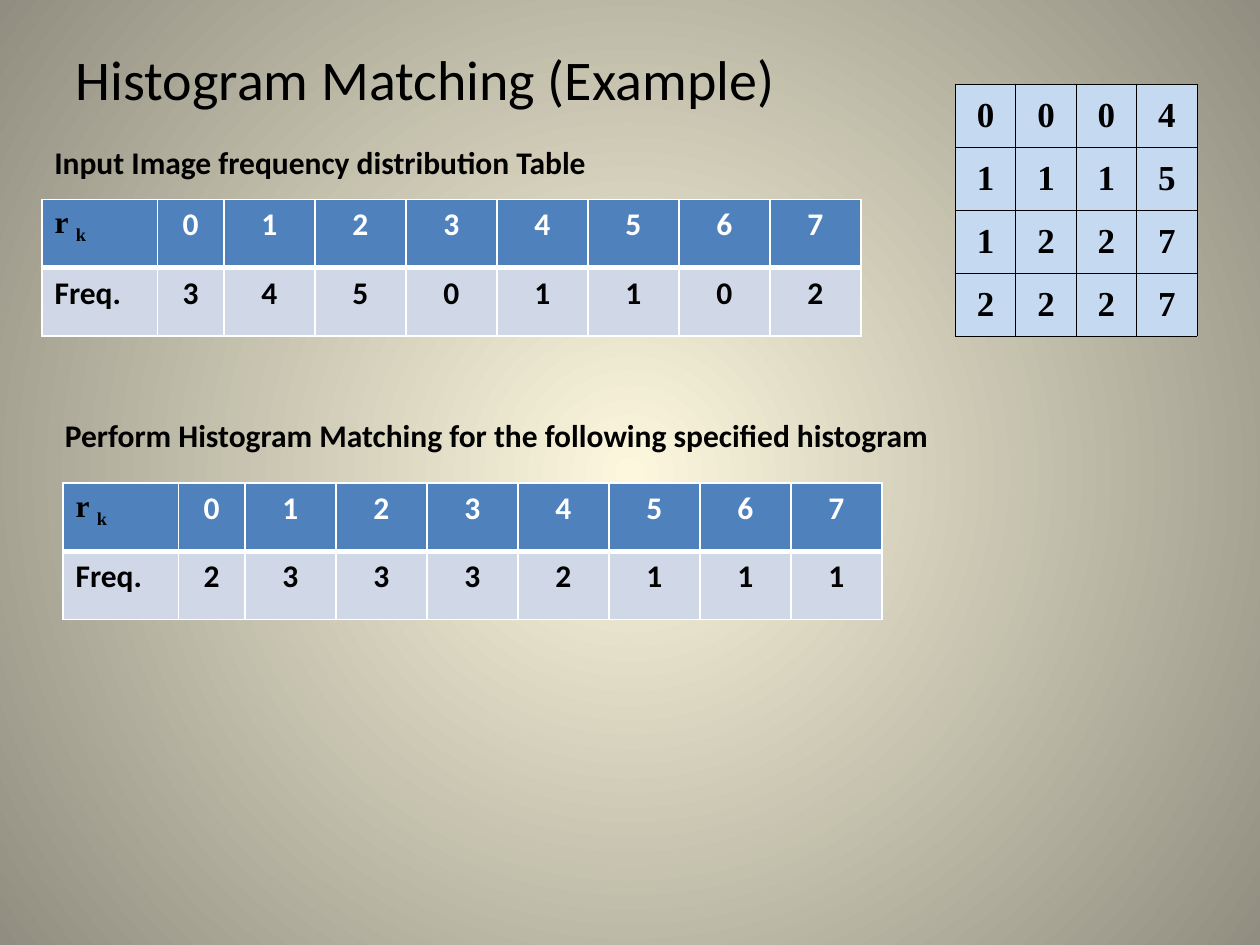
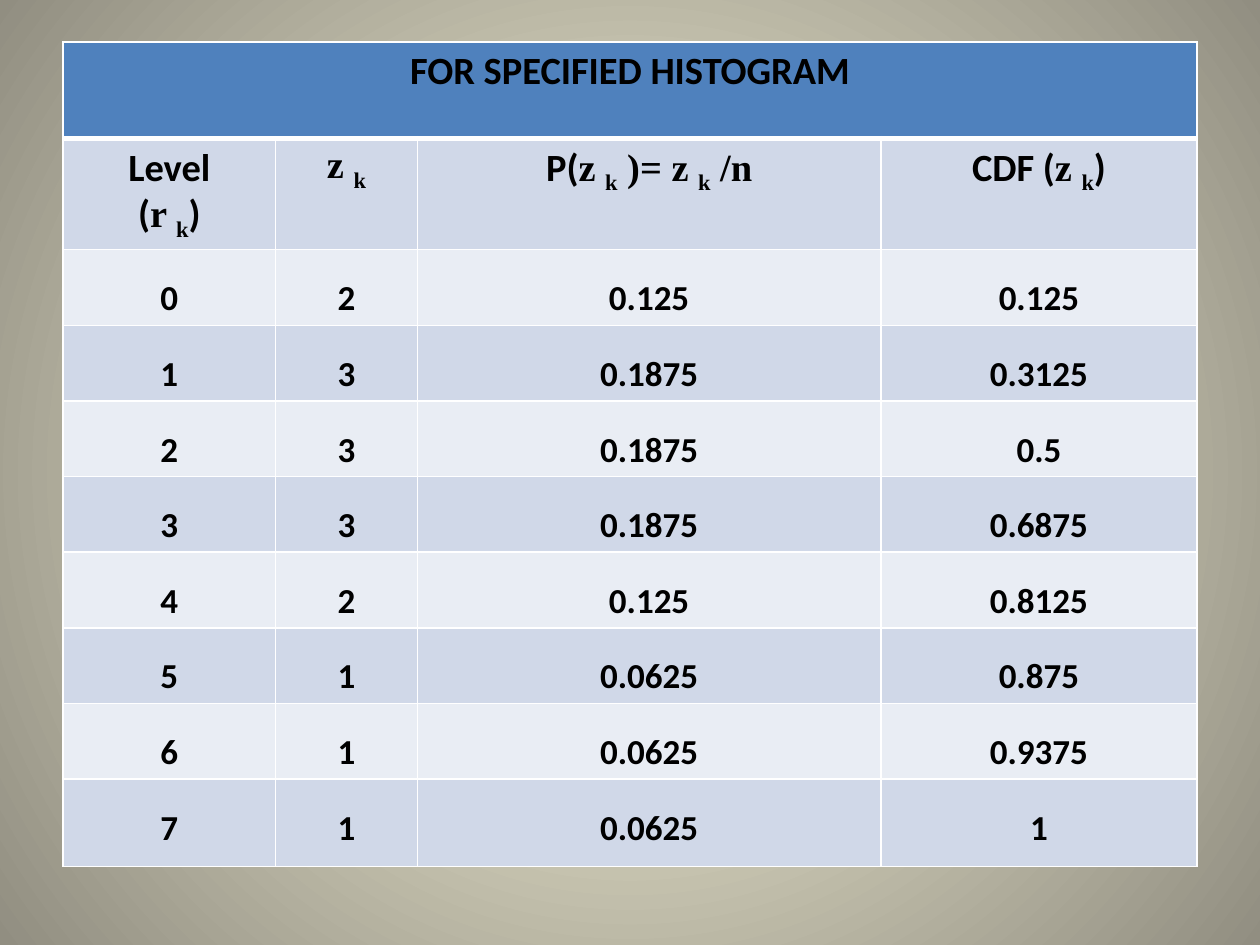
from dataclasses import dataclass
from itertools import accumulate

from lxml.etree import SubElement
from pptx import Presentation
from pptx.dml.color import RGBColor as RGB
from pptx.enum.text import MSO_ANCHOR as ANCHOR, MSO_AUTO_SIZE as FIT, PP_ALIGN as ALIGN
from pptx.oxml.ns import qn
from pptx.util import Pt


@dataclass(frozen=True)
class Theme:
    sans: str = "Calibri"
    serif: str = "Times New Roman"
    ink: str = "000000"
    white: str = "FFFFFF"
    glow: str = "FCF7DD"
    edge: str = "918E81"
    head: str = "4F81BD"
    dark: str = "D0D8E8"
    pale: str = "E9EDF4"
    pixel: str = "C5D9F1"
    title: float = 32
    large: float = 22
    medium: float = 20
    small: float = 18


THEME = Theme()
INPUT = [3, 4, 5, 0, 1, 1, 0, 2]
TARGET = [2, 3, 3, 3, 2, 1, 1, 1]
PIXELS = ["0004", "1115", "1227", "2227"]


def write(frame, text, size=THEME.small, color=THEME.ink, font=THEME.sans,
          bold=True, align=ALIGN.LEFT, spacing=None):
    """Split text into runs at "|"; a run led by "~" is serif, by "_" a serif subscript."""
    for i, line in enumerate(text.split("\n")):
        para = frame.add_paragraph() if i else frame.paragraphs[0]
        para.alignment = align
        para.space_before = Pt(0)
        if spacing:
            para.line_spacing = spacing
        for part in line.split("|"):
            mark = part[:1] if part[:1] in ("~", "_") else ""
            run = para.add_run()
            run.text = part[len(mark):]
            run.font.name = THEME.serif if mark else font
            run.font.size = Pt(size)
            run.font.bold = bold
            run.font.color.rgb = RGB.from_string(color)
            if mark == "_":
                run._r.get_or_add_rPr().set("baseline", "-25000")


def border(cell, color, widths):
    """Draw the left, right, top and bottom lines; call before filling the cell."""
    props = cell._tc.get_or_add_tcPr()
    for side, width in zip("LRTB", widths):
        line = SubElement(props, qn(f"a:ln{side}"), w=str(Pt(width)))
        fill = SubElement(line, qn("a:solidFill"))
        SubElement(fill, qn("a:srgbClr"), val=color)


class Deck:
    def __init__(self, theme):
        self.theme = theme
        self.prs = Presentation()
        self.prs.slide_width, self.prs.slide_height = Pt(720), Pt(540)
        self.slide = None
        self.paint()

    def paint(self):
        """Give the master a round gradient that every slide inherits."""
        master = self.prs.slide_master
        fill = master.background.fill
        fill.gradient()
        for stop, color, place in zip(fill.gradient_stops,
                                      (self.theme.glow, self.theme.edge), (0, 1)):
            stop.color.rgb = RGB.from_string(color)
            stop.position = place
        grad = master.element.find(".//" + qn("a:gradFill"))
        grad.remove(grad.find(qn("a:lin")))
        shade = SubElement(grad, qn("a:path"), path="circle")
        SubElement(shade, qn("a:fillToRect"), dict.fromkeys("ltrb", "50000"))

    def add(self, title=None):
        layout = self.prs.slide_layouts[5 if title else 6]
        self.slide = self.prs.slides.add_slide(layout)
        if title:
            shape = self.slide.shapes.title
            shape.left, shape.top, shape.width, shape.height = map(Pt, (36, 21.6, 648, 50))
            shape.text_frame.vertical_anchor = ANCHOR.TOP
            write(shape.text_frame, title, size=self.theme.title, bold=False)

    def label(self, text, x, y, w):
        frame = self.slide.shapes.add_textbox(Pt(x), Pt(y), Pt(w), Pt(29)).text_frame
        frame.word_wrap = True
        frame.auto_size = FIT.SHAPE_TO_FIT_TEXT
        write(frame, text)

    def grid(self, rows, x, y, wide, high, fills, look,
             line=THEME.white, thin=1, rule=1, tight=False):
        """Add a table; look(row, column) gives the text format, rule the line under row 0."""
        table = self.slide.shapes.add_table(
            len(rows), len(wide), Pt(x), Pt(y), Pt(sum(wide)), Pt(sum(high))).table
        table.horz_banding = table.first_row = False
        for column, width in zip(table.columns, wide):
            column.width = Pt(width)
        for r, values in enumerate(rows):
            table.rows[r].height = Pt(high[r])
            top, low = (rule if edge == 1 else thin for edge in (r, r + 1))
            for c in range(len(wide)):
                cell = table.cell(r, c)
                border(cell, line, (thin, thin, top, low))
                cell.fill.solid()
                cell.fill.fore_color.rgb = RGB.from_string(fills[r])
                if tight:
                    cell.margin_left = cell.margin_right = cell.margin_top = Pt(0.72)
                    cell.margin_bottom = Pt(0)
                    cell.vertical_anchor = ANCHOR.MIDDLE
                if c < len(values):
                    write(cell.text_frame, str(values[c]), **look(r, c))
            if len(values) == 1:
                table.cell(r, 0).merge(table.cell(r, len(wide) - 1))

    def counts(self, values, x, y):
        """Add a two-row table of gray levels and their frequencies."""
        def look(r, c):
            return {"align": ALIGN.CENTER if c else ALIGN.LEFT,
                    "color": self.theme.white if c and not r else self.theme.ink}

        rows = [["~r |_k", *range(len(values))], ["Freq.", *values]]
        self.grid(rows, x, y, [66, 38] + [52] * 7, [39, 39],
                  [self.theme.head, self.theme.dark], look, rule=3)

    def image(self, x, y):
        """Add the matrix of pixel values."""
        style = {"size": self.theme.medium, "font": self.theme.serif, "align": ALIGN.CENTER}
        self.grid(PIXELS, x, y, [34.5] * 4, [36] * 4, [self.theme.pixel] * 4,
                  lambda r, c: style, line=self.theme.ink, thin=0.5, rule=0.5, tight=True)

    def cdf(self, values, x, y):
        """Add the table of probabilities and their running sum."""
        total = sum(values)
        rows = [["FOR SPECIFIED HISTOGRAM"],
                ["Level\n(|~r |_k|)", "~z |_k", "P(|~z |_k|~ )= z |_k|~ /n", "CDF (|~z |_k|)"]]
        for level, (count, run) in enumerate(zip(values, accumulate(values))):
            rows.append([level, count, f"{count / total:g}", f"{run / total:g}"])
        head = {"size": self.theme.large, "align": ALIGN.CENTER}
        body = {"size": self.theme.medium, "align": ALIGN.CENTER, "spacing": 1.5}
        self.grid(rows, x, y, [121.5, 81, 265, 180.5], [55, 59] + [43] * 7 + [50],
                  [self.theme.head, self.theme.dark] + [self.theme.pale, self.theme.dark] * 4,
                  lambda r, c: head if r < 2 else body, rule=3)


def main():
    deck = Deck(THEME)

    deck.add("Histogram Matching (Example)")
    deck.counts(INPUT, 24, 114)
    deck.image(546, 48)
    deck.label("Input Image frequency distribution Table", 24, 78, 366)
    deck.label("Perform Histogram Matching for the following specified histogram", 30, 234, 558)
    deck.counts(TARGET, 36, 276)

    deck.add()
    deck.cdf(TARGET, 36, 24)

    deck.prs.save("out.pptx")


if __name__ == "__main__":
    main()
